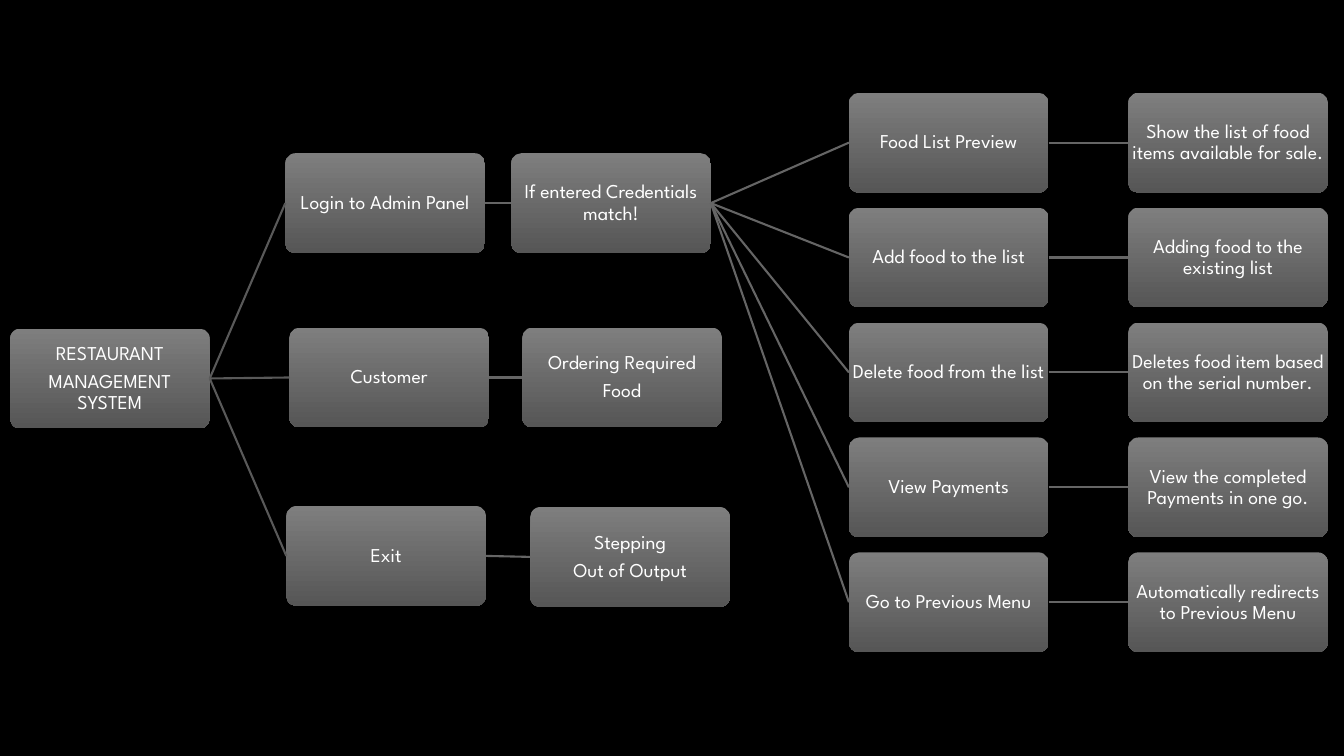
from dataclasses import dataclass

from lxml import etree
from pptx import Presentation
from pptx.dml.color import RGBColor
from pptx.enum.shapes import MSO_CONNECTOR, MSO_SHAPE
from pptx.enum.text import MSO_ANCHOR, PP_ALIGN
from pptx.oxml.ns import qn
from pptx.util import Inches, Pt

ROUNDED = MSO_SHAPE.ROUNDED_RECTANGLE
STRAIGHT = MSO_CONNECTOR.STRAIGHT
MIDDLE = MSO_ANCHOR.MIDDLE
CENTER = PP_ALIGN.CENTER
LEFT_SITE, RIGHT_SITE = 1, 3
BLANK_LAYOUT = 6


@dataclass(frozen=True)
class Theme:
    background: RGBColor = RGBColor(0x00, 0x00, 0x00)
    box_top: RGBColor = RGBColor(0x7E, 0x7E, 0x7E)
    box_bottom: RGBColor = RGBColor(0x56, 0x56, 0x56)
    root_line: RGBColor = RGBColor(0x59, 0x59, 0x59)
    branch_line: RGBColor = RGBColor(0x65, 0x65, 0x65)
    text: RGBColor = RGBColor(0xFF, 0xFF, 0xFF)
    font: str = "League Spartan"
    size: Pt = Pt(14)
    line_width: Pt = Pt(1.5)


theme = Theme()
BOX_WIDTH, BOX_HEIGHT = 1.98, 0.99
PARAGRAPH_FORMAT = {"alignment": CENTER, "line_spacing": 0.9, "space_after": Pt(5)}
FRAME_FORMAT = {
    "word_wrap": True,
    "vertical_anchor": MIDDLE,
    **{f"margin_{side}": Inches(0.01) for side in ("left", "top", "right", "bottom")},
}

presentation = Presentation()
presentation.slide_width = Inches(13.33)
presentation.slide_height = Inches(7.5)
slide = presentation.slides.add_slide(presentation.slide_layouts[BLANK_LAYOUT])
slide.background.fill.solid()
slide.background.fill.fore_color.rgb = theme.background


def add_box(text, left, top):
    shape = slide.shapes.add_shape(
        ROUNDED, Inches(left), Inches(top), Inches(BOX_WIDTH), Inches(BOX_HEIGHT))
    shape.adjustments[0] = 0.1
    shape.shadow.inherit = False
    shape.line.fill.background()
    shape.fill.gradient()
    shape.fill.gradient_angle = 270
    for stop, color in zip(shape.fill.gradient_stops, (theme.box_top, theme.box_bottom)):
        stop.color.rgb = color
    frame = shape.text_frame
    for name, value in FRAME_FORMAT.items():
        setattr(frame, name, value)
    frame.text = text
    for paragraph in frame.paragraphs:
        for name, value in PARAGRAPH_FORMAT.items():
            setattr(paragraph, name, value)
        font = paragraph.runs[0].font
        font.name, font.size = theme.font, theme.size
        font.color.rgb = theme.text
    return shape


def add_link(parent, child, color):
    """Join the right edge of the parent box to the left edge of the child box."""
    connector = slide.shapes.add_connector(STRAIGHT, 0, 0, 0, 0)
    connector.begin_connect(parent, RIGHT_SITE)
    connector.end_connect(child, LEFT_SITE)
    connector.line.color.rgb = color
    connector.line.width = theme.line_width
    etree.SubElement(connector._element.spPr, qn("a:effectLst"))


root = add_box("RESTAURANT\nMANAGEMENT SYSTEM", 0.1, 3.26)

# Menu choice and its outcome: text, left, top
branches = [
    (("Login to Admin Panel", 2.83, 1.52), ("If entered Credentials match!", 5.07, 1.52)),
    (("Customer", 2.87, 3.25), ("Ordering Required\nFood", 5.18, 3.25)),
    (("Exit", 2.84, 5.02), ("Stepping\nOut of Output", 5.26, 5.03)),
]
outcomes = []
for choice, outcome in branches:
    choice_box = add_box(*choice)
    outcome_box = add_box(*outcome)
    add_link(root, choice_box, theme.root_line)
    add_link(choice_box, outcome_box, theme.branch_line)
    outcomes.append(outcome_box)
credentials = outcomes[0]

admin_actions = [
    ("Food List Preview", "Show the list of food items available for sale."),
    ("Add food to the list", "Adding food to the existing list"),
    ("Delete food from the list", "Deletes food item based on the serial number."),
    ("View Payments", "View the completed Payments in one go."),
    ("Go to Previous Menu", "Automatically redirects to Previous Menu"),
]
ACTION_LEFT, RESULT_LEFT = 8.42, 11.19
FIRST_TOP, ROW_STEP = 0.92, 1.14
for row, (action, result) in enumerate(admin_actions):
    top = FIRST_TOP + row * ROW_STEP
    action_box = add_box(action, ACTION_LEFT, top)
    result_box = add_box(result, RESULT_LEFT, top)
    add_link(credentials, action_box, theme.branch_line)
    add_link(action_box, result_box, theme.branch_line)

presentation.save("out.pptx")
